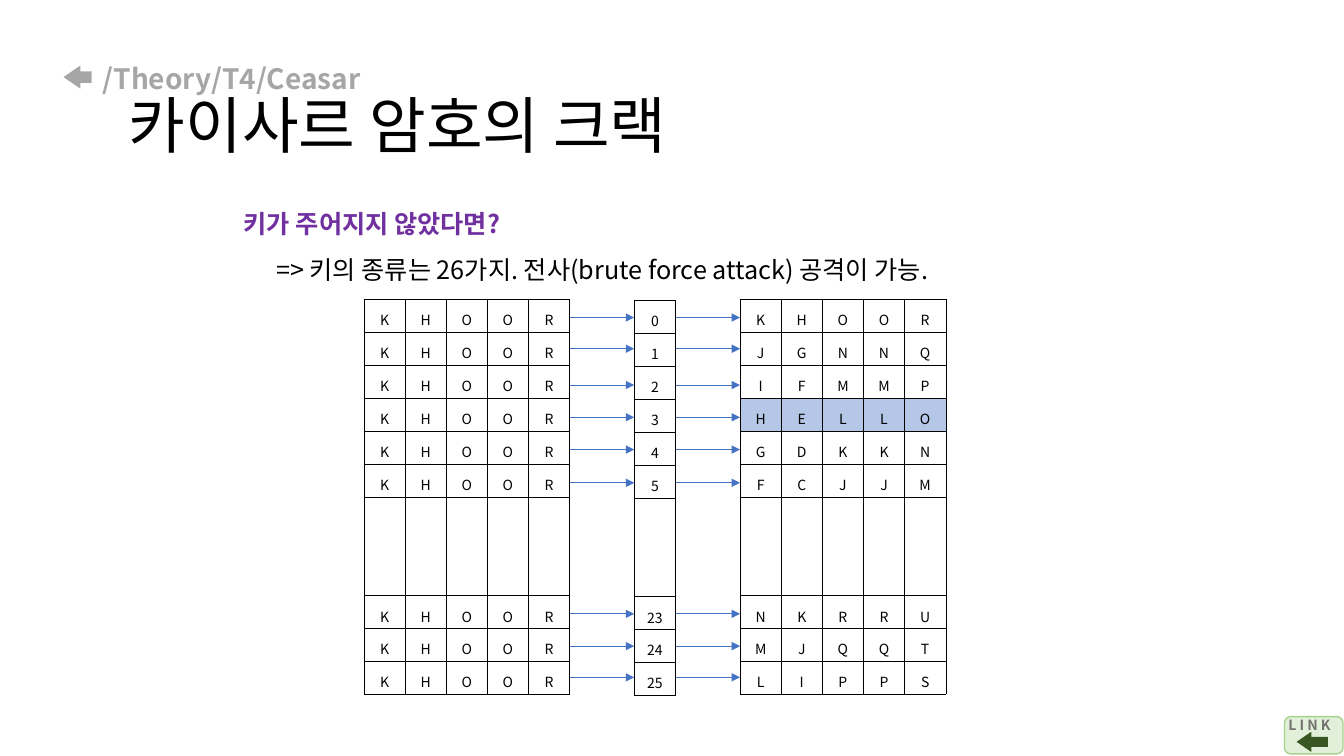
from dataclasses import dataclass

from lxml.etree import SubElement
from pptx import Presentation
from pptx.dml.color import RGBColor
from pptx.enum.shapes import MSO_CONNECTOR, MSO_SHAPE
from pptx.enum.text import MSO_ANCHOR, PP_ALIGN
from pptx.oxml import parse_xml
from pptx.oxml.ns import nsdecls, qn
from pptx.util import Inches, Pt

FONT = "Noto Sans CJK KR"
CIPHERTEXT = "KHOOR"
CRACKED = "HELLO"
BLOCK_HEIGHT = 3.92
ROW_HEIGHT = BLOCK_HEIGHT / 12  # nine key rows plus a gap three rows tall
GAP_ROW = 6


@dataclass(frozen=True)
class KeyTrial:
    key: int
    arrow_y: float


@dataclass(frozen=True)
class Line:
    text: str
    size: float
    color: str
    bold: bool = False
    indent: float = 0
    spacing: float = 1.0
    align: PP_ALIGN = PP_ALIGN.LEFT


@dataclass(frozen=True)
class Preset:
    kind: MSO_SHAPE
    left: float
    top: float
    width: float
    height: float
    fill: str
    outline: str | None = None
    adjustments: tuple[float, ...] = ()


TRIALS = [
    KeyTrial(0, 3.15), KeyTrial(1, 3.46), KeyTrial(2, 3.82),
    KeyTrial(3, 4.14), KeyTrial(4, 4.46), KeyTrial(5, 4.79),
    KeyTrial(23, 6.09), KeyTrial(24, 6.41), KeyTrial(25, 6.72),
]
ARROW_SPANS = [(5.65, 6.29), (6.7, 7.34)]
LINK_BADGE = Preset(MSO_SHAPE.ROUNDED_RECTANGLE, 12.74, 7.11, 0.58, 0.37, "E2F0D9", "A9D18E")
LINK_ARROW = Preset(MSO_SHAPE.LEFT_ARROW, 12.86, 7.26, 0.31, 0.2, "385723",
                    adjustments=(0.5, 0.73))
BACK_ARROW = Preset(MSO_SHAPE.LEFT_ARROW, 0.63, 0.65, 0.28, 0.23, "A6A6A6",
                    adjustments=(0.5, 0.73))


def rgb(color: str) -> RGBColor:
    return RGBColor.from_string(color)


def write_line(paragraph, line: Line) -> None:
    paragraph.text = line.text
    paragraph.alignment = line.align
    paragraph.line_spacing = line.spacing
    properties = paragraph._p.get_or_add_pPr()
    properties.set("marL", str(Inches(line.indent)))
    properties.set("indent", "0")
    font = paragraph.font
    font.size = Pt(line.size)
    font.bold = line.bold
    font.color.rgb = rgb(line.color)
    font.name = FONT
    SubElement(font._rPr, qn("a:ea"), typeface=FONT)


def add_text(slide, left: float, top: float, width: float, height: float,
             lines: list[Line], anchor: MSO_ANCHOR = MSO_ANCHOR.TOP) -> None:
    frame = slide.shapes.add_textbox(
        Inches(left), Inches(top), Inches(width), Inches(height)).text_frame
    frame.word_wrap = True
    frame.vertical_anchor = anchor
    for index, line in enumerate(lines):
        write_line(frame.add_paragraph() if index else frame.paragraphs[0], line)


def add_preset(slide, preset: Preset) -> None:
    shape = slide.shapes.add_shape(
        preset.kind, Inches(preset.left), Inches(preset.top),
        Inches(preset.width), Inches(preset.height))
    shape.shadow.inherit = False
    shape.fill.solid()
    shape.fill.fore_color.rgb = rgb(preset.fill)
    if preset.outline:
        shape.line.color.rgb = rgb(preset.outline)
        shape.line.width = Pt(1)
    else:
        shape.line.fill.background()
    for index, value in enumerate(preset.adjustments):
        shape.adjustments[index] = value


def add_borders(cell) -> None:
    properties = cell._tc.get_or_add_tcPr()
    for index, side in enumerate(("lnL", "lnR", "lnT", "lnB")):
        properties.insert(index, parse_xml(
            f'<a:{side} {nsdecls("a")} w="{Pt(0.28)}"><a:solidFill>'
            f'<a:srgbClr val="000000"/></a:solidFill></a:{side}>'))


def add_block(slide, left: float, top: float, width: float, rows: list[list[str]]) -> None:
    """Draw one bordered block, with the tall empty row between keys 5 and 23."""
    columns = len(rows[0])
    rows = rows[:GAP_ROW] + [[""] * columns] + rows[GAP_ROW:]
    table = slide.shapes.add_table(
        len(rows), columns, Inches(left), Inches(top),
        Inches(width), Inches(BLOCK_HEIGHT)).table
    table.first_row = table.horz_banding = False
    for column in table.columns:
        column.width = Inches(width / columns)
    for row_index, texts in enumerate(rows):
        table.rows[row_index].height = Inches(ROW_HEIGHT * (3 if row_index == GAP_ROW else 1))
        for column_index, text in enumerate(texts):
            cell = table.cell(row_index, column_index)
            cell.margin_left = cell.margin_right = Inches(0.07)
            cell.margin_top = cell.margin_bottom = Inches(0.02)
            cell.vertical_anchor = MSO_ANCHOR.MIDDLE
            if "".join(texts) == CRACKED:
                cell.fill.solid()
                cell.fill.fore_color.rgb = rgb("B4C7E7")
            else:
                cell.fill.background()
            add_borders(cell)
            if text:
                write_line(cell.text_frame.paragraphs[0],
                           Line(text, 10, "000000", spacing=1.4, align=PP_ALIGN.CENTER))


def add_arrow(slide, start: float, end: float, y: float) -> None:
    arrow = slide.shapes.add_connector(
        MSO_CONNECTOR.STRAIGHT, Inches(start), Inches(y), Inches(end), Inches(y))
    arrow.line.color.rgb = rgb("4472C4")
    arrow.line.width = Pt(0.5)
    SubElement(arrow.line._get_or_add_ln(), qn("a:tailEnd"), type="triangle")
    SubElement(arrow._element.spPr, qn("a:effectLst"))


def decrypt(key: int) -> list[str]:
    """Shift each ciphertext letter back by the key."""
    return [chr((ord(letter) - ord("A") - key) % 26 + ord("A")) for letter in CIPHERTEXT]


def main() -> None:
    presentation = Presentation()
    presentation.slide_width = Inches(13.33)
    presentation.slide_height = Inches(7.5)
    slide = presentation.slides.add_slide(presentation.slide_layouts[6])

    add_text(slide, 0.92, 0.4, 11.5, 1.45, [
        Line("/Theory/T4/Ceasar", 20, "A6A6A6", bold=True, spacing=0.9),
        Line("카이사르 암호의 크랙", 44, "000000", indent=0.26, spacing=0.9),
    ], MSO_ANCHOR.MIDDLE)
    add_text(slide, 2.32, 1.87, 8.16, 0.95, [
        Line("키가 주어지지 않았다면?", 18, "7030A0", bold=True, spacing=1.5),
        Line("=> 키의 종류는 26가지. 전사(brute force attack) 공격이 가능.",
             18, "000000", indent=0.32, spacing=1.5),
    ])

    add_block(slide, 3.61, 2.97, 2.04, [list(CIPHERTEXT) for _ in TRIALS])
    add_block(slide, 7.34, 2.97, 2.04, [decrypt(trial.key) for trial in TRIALS])
    add_block(slide, 6.29, 2.98, 0.41, [[str(trial.key)] for trial in TRIALS])
    for trial in TRIALS:
        for start, end in ARROW_SPANS:
            add_arrow(slide, start, end, trial.arrow_y)

    add_preset(slide, LINK_BADGE)
    add_text(slide, 12.68, 7.06, 0.74, 0.44, [Line("L I N K", 10, "767171", bold=True)])
    add_preset(slide, LINK_ARROW)
    add_preset(slide, BACK_ARROW)
    presentation.save("out.pptx")


if __name__ == "__main__":
    main()
